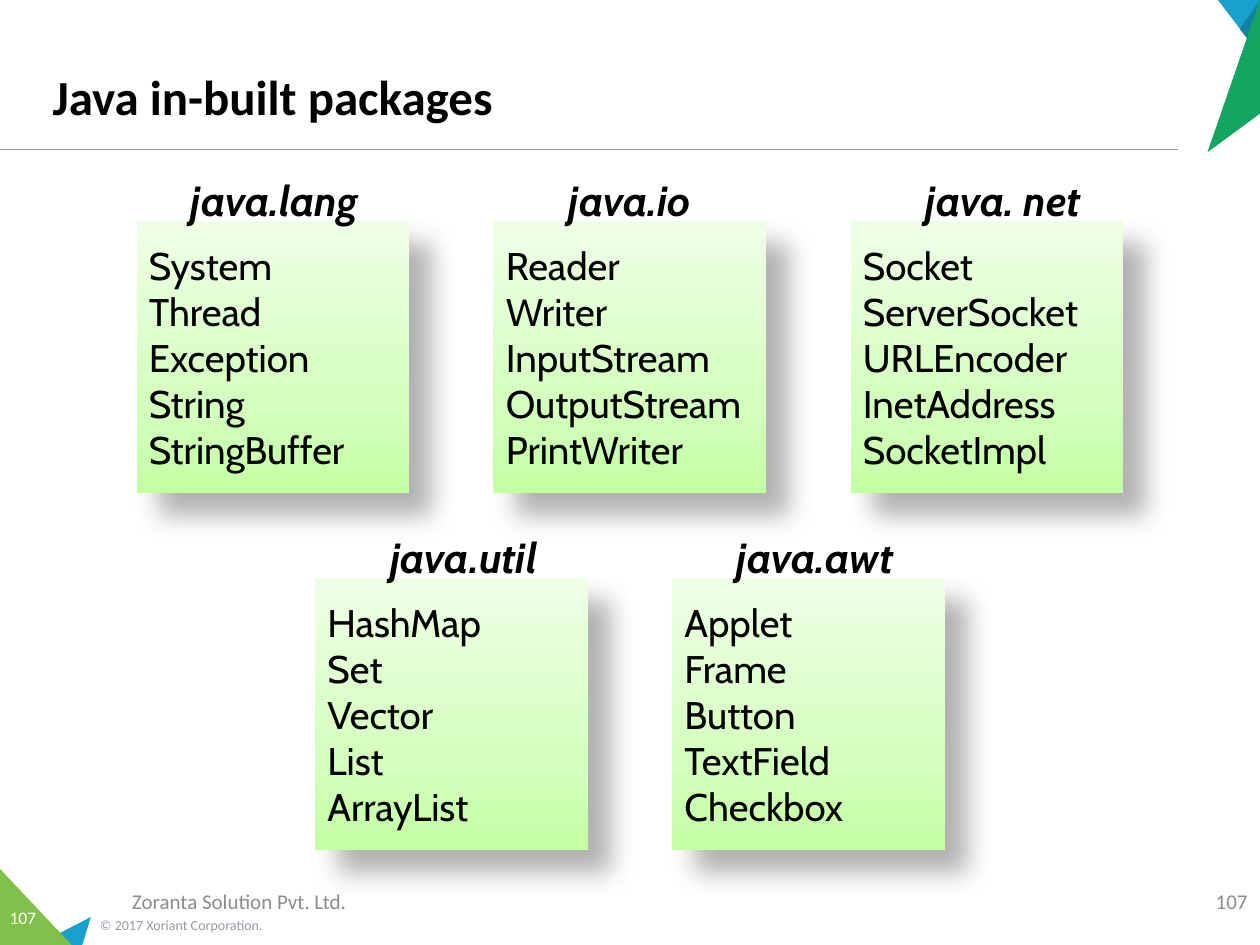
from lxml.etree import SubElement
from pptx import Presentation
from pptx.dml.color import RGBColor
from pptx.enum.shapes import MSO_CONNECTOR, MSO_SHAPE
from pptx.enum.text import MSO_ANCHOR, PP_ALIGN
from pptx.oxml import parse_xml
from pptx.oxml.ns import qn
from pptx.util import Pt

NAMESPACE = 'xmlns:a="http://schemas.openxmlformats.org/drawingml/2006/main"'
CARD_SIZE = 156
CARD_STEP = 204
GRADIENT = ((0, "C4FFA5"), (35, "D5FFBF"), (100, "EFFFE7"))
ITEM = {"name": "Cabin", "size": Pt(22)}
HEADING = {"name": "Cabin", "size": Pt(24), "bold": True, "italic": True}
TITLE = {"name": "Calibri", "size": Pt(28), "bold": True}
FOOTER = {"name": "Calibri", "size": Pt(12)}
SMALL = {"name": "Calibri", "size": Pt(10)}
COPYRIGHT = {"name": "Calibri", "size": Pt(8)}

PACKAGE_ROWS = [
    (78, 126, [
        ("java.lang", 102, ["System", "Thread", "Exception", "String", "StringBuffer"]),
        ("java.io", 318, ["Reader", "Writer", "InputStream", "OutputStream", "PrintWriter"]),
        ("java. net", 522, ["Socket", "ServerSocket", "URLEncoder", "InetAddress", "SocketImpl"]),
    ]),
    (180, 330, [
        ("java.util", 216, ["HashMap", "Set", "Vector", "List", "ArrayList"]),
        ("java.awt", 414, ["Applet", "Frame", "Button", "TextField", "Checkbox"]),
    ]),
]

TRIANGLES = [
    ("17A1CC", [(52, 524), (47, 540), (21, 540)]),
    ("81C14B", [(0, 496.5), (41, 540), (0, 540)]),
    ("17A1CC", [(696, 0), (720, 0), (720, 31.5)]),
    ("1281A3", [(708.5, 16.5), (720, 0), (720, 31.5)]),
    ("15A563", [(690, 87), (720, 0), (720, 65)]),
]


def color(value):
    return RGBColor.from_string(value)


def write(shape, lines, style, hue, align=PP_ALIGN.LEFT, anchor=MSO_ANCHOR.MIDDLE):
    frame = shape.text_frame
    frame.word_wrap = True
    frame.vertical_anchor = anchor
    for index, line in enumerate(lines):
        para = frame.paragraphs[0] if index == 0 else frame.add_paragraph()
        para.alignment = align
        span = para.add_run()
        span.text = line
        for name, value in style.items():
            setattr(span.font, name, value)
        span.font.color.rgb = color(hue)


def add_label(page, place, text, style, hue="000000", **layout):
    box = page.shapes.add_textbox(*map(Pt, place))
    write(box, [text], style, hue, **layout)
    return box


def add_triangle(page, hue, corners):
    points = [(Pt(x), Pt(y)) for x, y in corners]
    builder = page.shapes.build_freeform(*points[0])
    builder.add_line_segments(points[1:], close=True)
    shape = builder.convert_to_shape()
    shape.shadow.inherit = False
    shape.fill.solid()
    shape.fill.fore_color.rgb = color(hue)
    shape.line.fill.background()


def add_rule(page):
    rule = page.shapes.add_connector(MSO_CONNECTOR.STRAIGHT, Pt(0), Pt(85.5), Pt(673), Pt(85.5))
    rule.line.color.rgb = color("959AA5")
    rule.line.width = Pt(1)
    SubElement(rule.element.spPr, qn("a:effectLst"))


def add_card(page, left, top, items):
    card = page.shapes.add_shape(MSO_SHAPE.RECTANGLE, *map(Pt, (left, top, CARD_SIZE, CARD_SIZE)))
    card.fill.background()
    card.line.fill.background()
    properties = card.element.spPr
    stops = "".join(
        f'<a:gs pos="{position * 1000}"><a:srgbClr val="{hue}"/></a:gs>' for position, hue in GRADIENT
    )
    gradient = parse_xml(
        f'<a:gradFill {NAMESPACE} rotWithShape="1"><a:gsLst>{stops}</a:gsLst>'
        '<a:lin ang="16200000" scaled="0"/></a:gradFill>'
    )
    properties.replace(properties.find(qn("a:noFill")), gradient)
    properties.append(parse_xml(
        f'<a:effectLst {NAMESPACE}><a:outerShdw blurRad="{Pt(15)}" dist="{Pt(18)}" dir="2700000"'
        ' algn="tl" rotWithShape="0"><a:srgbClr val="000000"><a:alpha val="30000"/></a:srgbClr>'
        '</a:outerShdw></a:effectLst>'
    ))
    write(card, items, ITEM, "000000")


def add_packages(page):
    for first_left, top, packages in PACKAGE_ROWS:
        for column, (name, heading_left, items) in enumerate(packages):
            add_card(page, first_left + column * CARD_STEP, top, items)
            add_label(page, (heading_left, top - 30, 114, 36), name, HEADING, anchor=MSO_ANCHOR.TOP)


def add_footer(page):
    add_label(page, (50, 521, 168, 15), "© 2017 Xoriant Corporation.", COPYRIGHT, "959AA5")
    corner = add_label(page, (0, 515, 26, 17), "107", SMALL, "FFFFFF",
                       align=PP_ALIGN.CENTER, anchor=MSO_ANCHOR.TOP)
    corner.text_frame.margin_left = corner.text_frame.margin_right = Pt(0)
    add_label(page, (0, 500.5, 273.5, 29), "Zoranta Solution Pvt. Ltd.", FOOTER, "8C8C8C",
              align=PP_ALIGN.CENTER)
    add_label(page, (672, 500.5, 48, 29), "107", FOOTER, "8C8C8C", align=PP_ALIGN.RIGHT)


def main():
    deck = Presentation()
    deck.slide_width, deck.slide_height = Pt(720), Pt(540)
    page = deck.slides.add_slide(deck.slide_layouts[6])
    for hue, corners in TRIANGLES:
        add_triangle(page, hue, corners)
    add_rule(page)
    add_label(page, (23, 6, 648, 69), "Java in-built packages", TITLE, anchor=MSO_ANCHOR.BOTTOM)
    add_packages(page)
    add_footer(page)
    deck.save("out.pptx")


if __name__ == "__main__":
    main()
